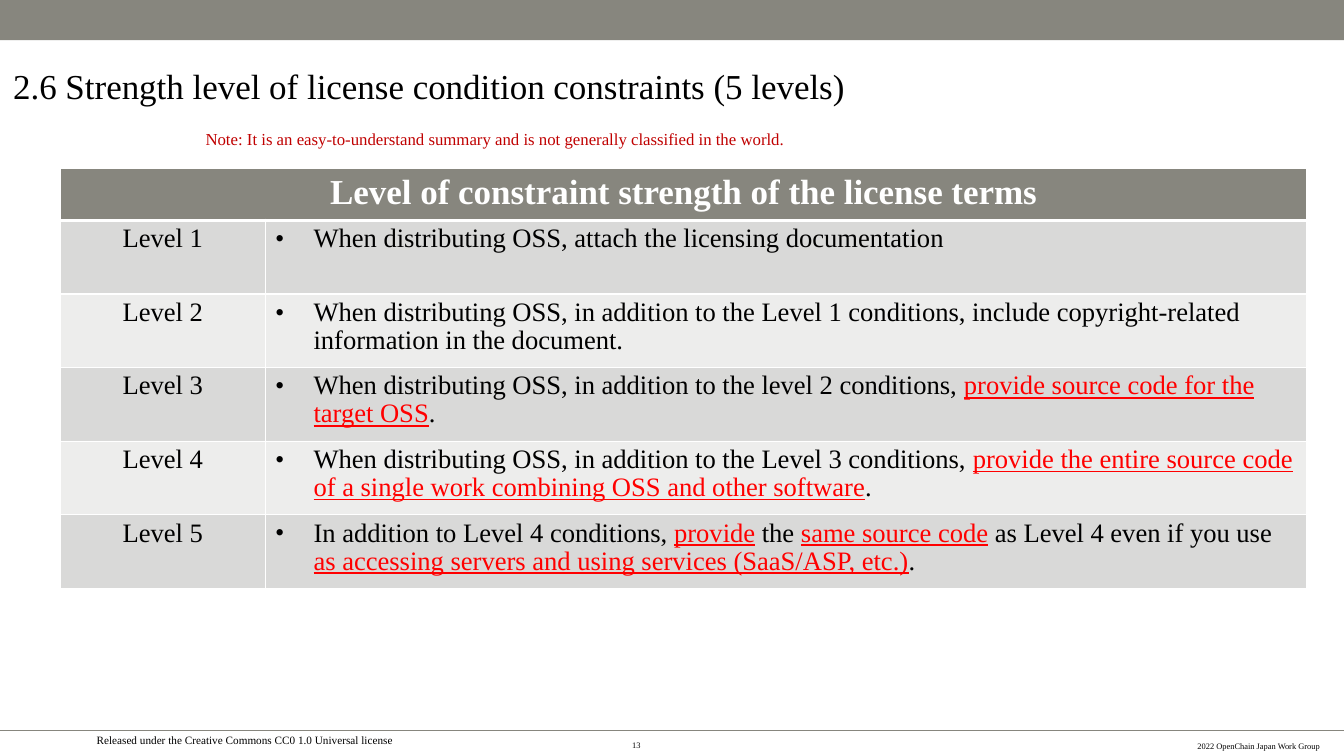
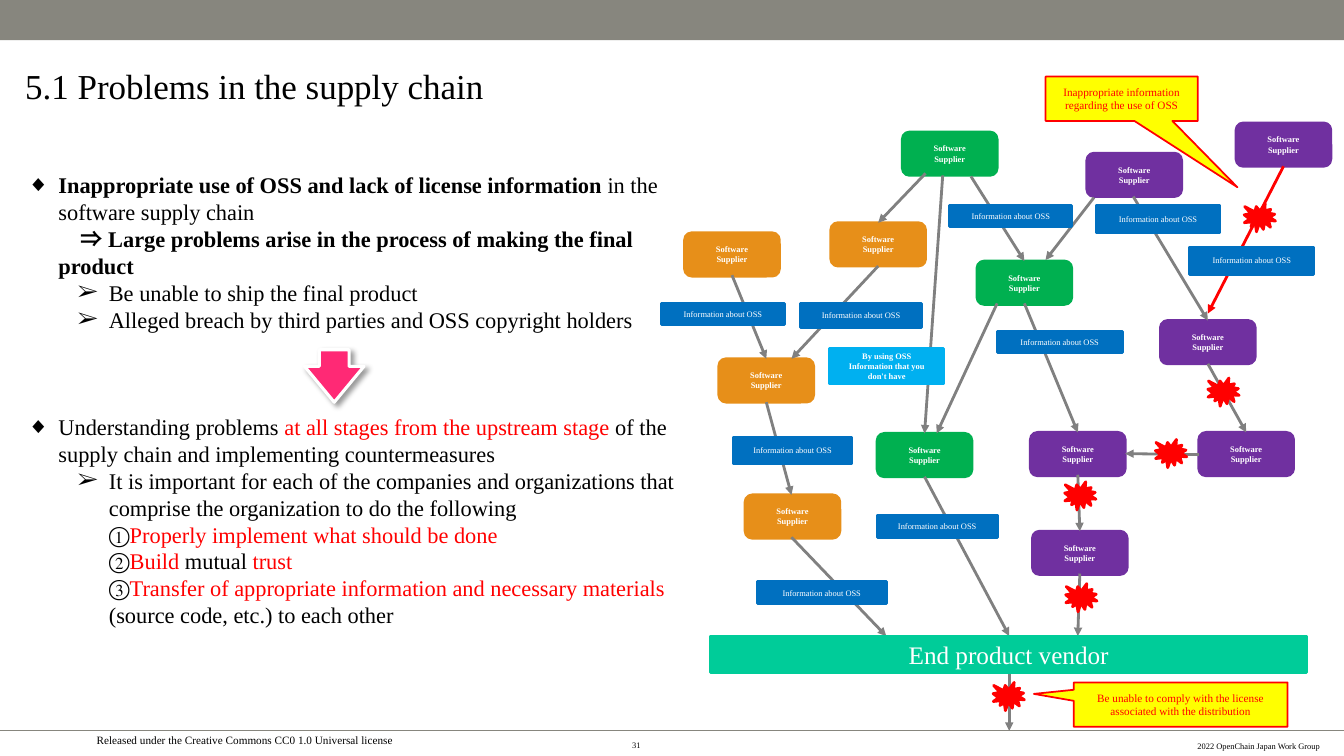
from lxml import etree
from pptx import Presentation
from pptx.dml.color import RGBColor
from pptx.enum import shapes, text
from pptx.oxml import ns
from pptx.util import Inches, Pt

FONT = "Times New Roman"
BLACK = RGBColor(0, 0, 0)
WHITE = RGBColor(255, 255, 255)
RED = RGBColor(255, 0, 0)
DARK_RED = RGBColor(0xC0, 0, 0)
YELLOW = RGBColor(255, 255, 0)
STONE = RGBColor(0x87, 0x86, 0x7E)
BAND_DARK = RGBColor(0xD9, 0xD9, 0xD8)
BAND_LIGHT = RGBColor(0xED, 0xED, 0xEC)
ARROW_GREY = RGBColor(0x80, 0x80, 0x80)
ORANGE = RGBColor(0xE7, 0x8F, 0x19)
GREEN = RGBColor(0, 0xB0, 0x50)
PURPLE = RGBColor(0x70, 0x30, 0xA0)
BLUE = RGBColor(0, 0x70, 0xC0)
SKY = RGBColor(0, 0xB0, 0xF0)
TEAL = RGBColor(0, 0xCC, 0x99)
PINK = RGBColor(0xFF, 0x29, 0x75)

SHAPE = shapes.MSO_SHAPE
CENTER, RIGHT = text.PP_ALIGN.CENTER, text.PP_ALIGN.RIGHT
MIDDLE = text.MSO_ANCHOR.MIDDLE
EM = {"color": RED}
EM_LINE = {"color": RED, "underline": True}
BOLD = {"bold": True}

LEVELS = [
    ["When distributing OSS, attach the licensing documentation"],
    ["When distributing OSS, in addition to the Level 1 conditions, "
     "include copyright-related information in the document."],
    ["When distributing OSS, in addition to the level 2 conditions, ",
     ("provide source code for the target OSS", EM_LINE), "."],
    ["When distributing OSS, in addition to the Level 3 conditions, ",
     ("provide the entire source code of a single work combining OSS "
      "and other software", EM_LINE), "."],
    ["In addition to Level 4 conditions, ", ("provide", EM_LINE), " the ",
     ("same source code", EM_LINE), " as Level 4 even if you use ",
     ("as accessing servers and using services (SaaS/ASP, etc.)", EM_LINE), "."],
]

PROBLEMS = [
    (0, 0, [("Inappropriate use of OSS and lack of license information ", BOLD),
            "in the software supply chain\n",
            ("\u3000⇒ Large problems arise in the process of making "
             "the final product".replace("\u3000", "　"), BOLD)]),
    (1, 0, ["Be unable to ship the final product"]),
    (1, 0, ["Alleged breach by third parties and OSS copyright holders"]),
    (0, 57.6, ["Understanding problems ",
               ("at all stages from the upstream stage", EM),
               " of the supply chain and implementing countermeasures"]),
    (1, 0, ["It is important for each of the companies and organizations that "
            "comprise the organization to do the following\n①",
            ("Properly implement what should be done\n", EM), "②",
            ("Build", EM), " mutual ", ("trust\n", EM), "③",
            ("Transfer of appropriate information and necessary materials ", EM),
            "(source code, etc.) to each other"]),
]

SUPPLIERS = {
    ORANGE: [(6.79, 2.31), (7.13, 3.56), (7.39, 4.91), (8.24, 2.21)],
    GREEN: [(8.95, 1.31), (8.7, 4.3), (9.69, 2.59)],
    PURPLE: [(10.22, 4.29), (11.89, 4.29), (11.51, 3.18), (10.78, 1.52),
             (10.24, 5.27), (12.26, 1.22)],
}
SUPPLY_ARROWS = [
    (7.26, 2.73, 7.6, 3.56), (8.71, 2.64, 7.85, 3.56), (7.6, 3.99, 7.85, 4.91),
    (7.85, 5.33, 8.79, 6.31), (9.18, 1.72, 8.71, 2.21), (9.35, 1.74, 9.17, 4.3),
    (9.63, 1.75, 10.16, 2.59), (9.17, 4.73, 10.01, 6.31), (9.89, 3.01, 9.29, 4.3),
    (10.16, 3.01, 10.69, 4.29), (10.85, 1.96, 10.37, 2.58),
    (11.24, 1.95, 11.98, 3.18), (11.98, 3.61, 12.36, 4.29),
    (11.89, 4.51, 11.16, 4.5), (10.69, 4.71, 10.71, 5.27),
    (10.71, 5.69, 10.69, 6.31), (10.01, 6.67, 10.01, 7.25),
]
OSS_LABELS = [
    (6.56, 3.01, 1.22, 0.21), (7.94, 3.01, 1.2, 0.24), (9.42, 2.04, 1.21, 0.21),
    (10.87, 2.04, 1.23, 0.27), (9.89, 3.29, 1.24, 0.21), (7.27, 4.34, 1.18, 0.26),
    (8.7, 5.11, 1.19, 0.22), (7.51, 5.77, 1.28, 0.22), (11.8, 2.45, 1.23, 0.27),
]
BURSTS = [(11.98, 3.75), (11.46, 4.36), (10.56, 4.78), (10.57, 5.79),
          (9.85, 6.77), (12.34, 2.02)]
CALLOUTS = [
    ((10.65, 6.77, 2.12, 0.44), (-0.687, -0.24),
     "Be unable to comply with the license associated with the distribution"),
    ((10.37, 0.76, 1.51, 0.44), (0.76, 1.994),
     "Inappropriate information regarding the use of OSS"),
]


def inches(*values):
    """Convert numbers to lengths."""
    return [Inches(v) for v in values]


def add_xml(parent, tag, **attrs):
    """Append a DrawingML element."""
    return etree.SubElement(parent, ns.qn("a:" + tag), attrs)


def write(p, parts, **base):
    """Fill a paragraph with runs, turning newlines into line breaks."""
    for part in parts:
        content, extra = (part, {}) if isinstance(part, str) else part
        fmt = {"name": FONT, "color": BLACK, "bold": False, **base, **extra}
        color = fmt.pop("color")
        fmt["size"] = Pt(fmt["size"])
        for i, line in enumerate(content.split("\n")):
            if i:
                p.add_line_break()
            if line:
                r = p.add_run()
                r.text = line
                r.font.color.rgb = color
                for name, value in fmt.items():
                    setattr(r.font, name, value)


def set_bullet(p, char, left, hang):
    """Give a paragraph a hanging bullet."""
    pPr = p._p.get_or_add_pPr()
    pPr.set("marL", str(Inches(left)))
    pPr.set("indent", str(-Inches(hang)))
    add_xml(pPr, "buFont", typeface=FONT)
    add_xml(pPr, "buChar", char=char)


def place(sp, at):
    """Move and size a placeholder."""
    for name, value in zip(("left", "top", "width", "height"), inches(*at)):
        setattr(sp, name, value)


def format_frame(tf, **fmt):
    """Apply text frame settings."""
    for name, value in {"word_wrap": True, **fmt}.items():
        setattr(tf, name, value)


def no_insets():
    """Return settings for a middle-anchored frame without margins."""
    sides = ("left", "top", "right", "bottom")
    return {"vertical_anchor": MIDDLE, **{f"margin_{s}": 0 for s in sides}}


def add_text(s, at, content, align=None, frame=None, **font):
    """Add a text box."""
    sp = s.shapes.add_textbox(*inches(*at))
    format_frame(sp.text_frame, **(frame or {}))
    p = sp.text_frame.paragraphs[0]
    p.alignment = align
    write(p, [content], **font)
    return sp


def add_box(s, kind, at, fill, line=None, width=2, label="", adj=(), **font):
    """Add a preset shape with an optional centred label."""
    sp = s.shapes.add_shape(kind, *inches(*at))
    sp.shadow.inherit = False
    sp.fill.solid()
    sp.fill.fore_color.rgb = fill
    sp.line.color.rgb = line or fill
    sp.line.width = Pt(width)
    for i, value in enumerate(adj):
        sp.adjustments[i] = value
    if label:
        format_frame(sp.text_frame, vertical_anchor=MIDDLE)
        p = sp.text_frame.paragraphs[0]
        p.alignment = CENTER
        write(p, [label], **font)
    return sp


def add_line(s, ends, color, width=2, arrow=True):
    """Add a straight line, with an arrowhead at its end if wanted."""
    c = s.shapes.add_connector(shapes.MSO_CONNECTOR.STRAIGHT, *inches(*ends))
    c.line.color.rgb = color
    c.line.width = Pt(width)
    spPr = c.element.spPr
    if arrow:
        add_xml(spPr.find(ns.qn("a:ln")), "tailEnd", type="triangle")
    add_xml(spPr, "effectLst")
    return c


def add_shadow(sp):
    """Give a shape a soft shadow to the lower right."""
    effects = sp.element.spPr.find(ns.qn("a:effectLst"))
    shadow = add_xml(effects, "outerShdw", blurRad=str(Pt(4)), dist=str(Pt(3)),
                     dir="2700000", algn="tl", rotWithShape="0")
    add_xml(add_xml(shadow, "srgbClr", val="000000"), "alpha", val="40000")


def build_master(prs, s):
    """Move the shared band, rule and footers to the slide master."""
    band = add_box(s, SHAPE.RECTANGLE, (0, 0, 13.33, 0.4), STONE)
    band.line.fill.background()
    parts = [
        add_line(s, (0, 7.25, 13.33, 7.25), STONE, 1, arrow=False),
        band,
        add_text(s, (0.03, 7.23, 4.8, 0.27),
                 "Released under the Creative Commons CC0 1.0 Universal license",
                 CENTER, size=8),
        add_text(s, (7.22, 7.29, 5.87, 0.22), "2022 OpenChain Japan Work Group",
                 RIGHT, no_insets(), size=6),
    ]
    for number, sp in enumerate(parts, 100):
        sp.element.xpath(".//p:cNvPr")[0].set("id", str(number))
        prs.slide_master.shapes.element.append(sp.element)


def add_slide(prs, layout, title, at, number):
    """Add a slide with its title and page number."""
    s = prs.slides.add_slide(prs.slide_layouts[layout])
    sp = s.shapes.title
    place(sp, at)
    format_frame(sp.text_frame, auto_size=text.MSO_AUTO_SIZE.NONE, **no_insets())
    p = sp.text_frame.paragraphs[0]
    p.alignment = text.PP_ALIGN.LEFT
    write(p, [title], size=25)
    add_text(s, (6.27, 7.28, 0.79, 0.22), number, frame=no_insets(), size=6)
    return s


def format_cell(cell, fill, bottom=1):
    """Set white borders and a fill colour."""
    tcPr = cell._tc.get_or_add_tcPr()
    for tag, width in (("lnL", 1), ("lnR", 1), ("lnT", 1), ("lnB", bottom)):
        ln = add_xml(tcPr, tag, w=str(Pt(width)))
        add_xml(add_xml(ln, "solidFill"), "srgbClr", val=str(WHITE))
    cell.fill.solid()
    cell.fill.fore_color.rgb = fill


def add_level_table(s):
    """Add the table of constraint levels."""
    rows = len(LEVELS) + 1
    table = s.shapes.add_table(rows, 2, *inches(0.6, 1.67, 12.36, 4.18)).table
    table.horz_banding = False
    for column, width in zip(table.columns, (2.03, 10.33)):
        column.width = Inches(width)
    for i, row in enumerate(table.rows):
        row.height = Inches(0.73 if i else 0.51)
    for cell in table.rows[0].cells:
        format_cell(cell, STONE, bottom=3)
    head = table.cell(0, 0)
    head.merge(table.cell(0, 1))
    p = head.text_frame.paragraphs[0]
    p.alignment = CENTER
    write(p, ["Level of constraint strength of the license terms"],
          size=25, color=WHITE, bold=True)
    for i, parts in enumerate(LEVELS, 1):
        for j, content in enumerate(([f"Level {i}"], parts)):
            cell = table.cell(i, j)
            format_cell(cell, BAND_DARK if i % 2 else BAND_LIGHT)
            p = cell.text_frame.paragraphs[0]
            if j:
                set_bullet(p, "•", 0.38, 0.38)
            else:
                p.alignment = CENTER
            p.line_spacing = 0.95
            write(p, content, size=19)


def add_problem_list(s):
    """Fill the body placeholder with the two-level list."""
    body = s.placeholders[1]
    place(body, (0.27, 1.66, 6.64, 5.08))
    tf = body.text_frame
    format_frame(tf, auto_size=text.MSO_AUTO_SIZE.NONE, margin_left=0,
                 margin_right=0, margin_top=Inches(0.04),
                 margin_bottom=Inches(0.04))
    for i, (level, before, parts) in enumerate(PROBLEMS):
        p = tf.add_paragraph() if i else tf.paragraphs[0]
        p.level = level
        set_bullet(p, "◆➢"[level], 0.31 + 0.5 * level, 0.31)
        p.line_spacing, p.space_before, p.space_after = Pt(19.2), Pt(before), Pt(0)
        write(p, parts, size=16)


def add_supply_chain(s):
    """Draw the supplier network down to the end product vendor."""
    small = {"size": 6, "color": WHITE}
    for color, spots in SUPPLIERS.items():
        for spot in spots:
            add_box(s, SHAPE.ROUNDED_RECTANGLE, (*spot, 0.94, 0.43), color,
                    label="Software\nSupplier", bold=True, **small)
    for ends in SUPPLY_ARROWS:
        add_line(s, ends, ARROW_GREY)
    add_line(s, (12.73, 1.65, 11.98, 3.11), RED)
    for at in OSS_LABELS:
        add_box(s, SHAPE.RECTANGLE, at, BLUE, label="Information about OSS", **small)
    add_box(s, SHAPE.RECTANGLE, (8.23, 3.46, 1.13, 0.35), SKY, bold=True,
            label="By using OSS\nInformation that you don't have", **small)
    add_box(s, SHAPE.RECTANGLE, (7.05, 6.31, 5.91, 0.36), TEAL,
            label="End product vendor", size=18, color=WHITE)
    for at, adj, label in CALLOUTS:
        add_box(s, SHAPE.RECTANGULAR_CALLOUT, at, YELLOW, RED, 1.25, label, adj,
                size=8, color=RED)
    for spot in BURSTS:
        add_box(s, SHAPE.EXPLOSION1, (*spot, 0.31, 0.28), RED)


def main():
    """Build and save the deck."""
    prs = Presentation()
    prs.slide_width, prs.slide_height = inches(13.33, 7.5)

    s = add_slide(prs, 5, "2.6 Strength level of license condition constraints (5 levels)",
                  (0.13, 0.47, 10.63, 0.76), "13")
    build_master(prs, s)
    add_text(s, (1.94, 1.23, 9.3, 0.37),
             "Note: It is an easy-to-understand summary and is not generally "
             "classified in the world.", size=12, color=DARK_RED)
    add_level_table(s)

    s = add_slide(prs, 1, "5.1 Problems in the supply chain",
                  (0.25, 0.47, 11.46, 0.76), "31")
    add_problem_list(s)
    add_supply_chain(s)
    add_shadow(add_box(s, SHAPE.DOWN_ARROW, (3.02, 3.47, 0.59, 0.52), PINK, WHITE,
                       2.25, adj=(0.5, 0.684)))
    prs.save("out.pptx")


if __name__ == "__main__":
    main()
